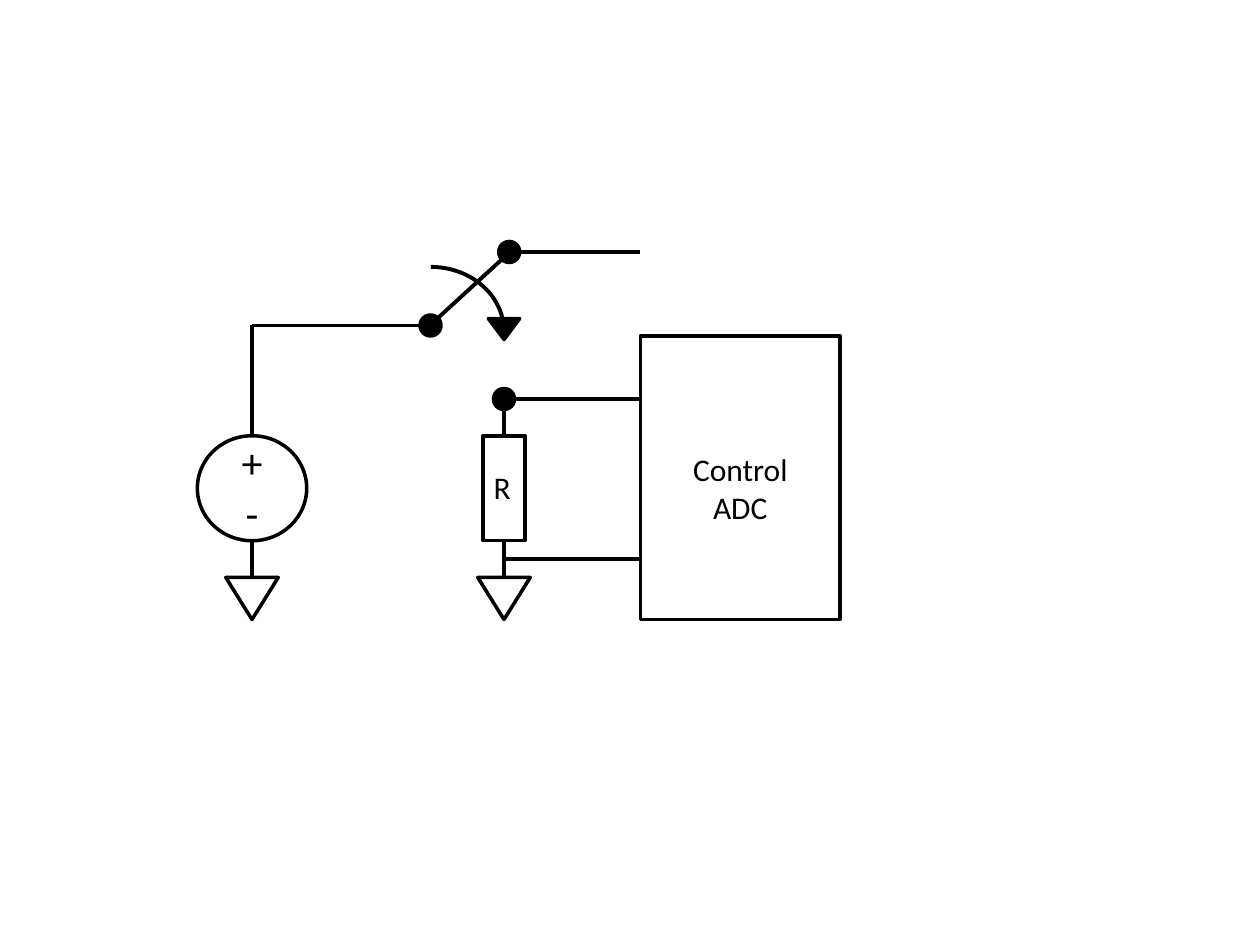
from pptx import Presentation
from pptx.dml.color import RGBColor
from pptx.enum.shapes import MSO_CONNECTOR, MSO_SHAPE
from pptx.enum.text import MSO_AUTO_SIZE, PP_ALIGN
from pptx.oxml.ns import qn
from pptx.util import Pt

BLACK = RGBColor(0, 0, 0)
RECT = MSO_SHAPE.RECTANGLE
OVAL = MSO_SHAPE.OVAL
ARC = MSO_SHAPE.ARC
WEDGE = MSO_SHAPE.ISOSCELES_TRIANGLE
LINE = MSO_CONNECTOR.STRAIGHT
ELBOW = MSO_CONNECTOR.ELBOW
CENTER = PP_ALIGN.CENTER
GROW = MSO_AUTO_SIZE.SHAPE_TO_FIT_TEXT


class Circuit:
    """Draws circuit symbols on one slide; all lengths are in points."""
    font = "Calibri"
    wide = 2.25
    thin = 2

    def __init__(self, slide):
        self.shapes = slide.shapes

    def symbol(self, kind, x, y, w, h, fill=None, line=thin, turn=0):
        shape = self.shapes.add_shape(kind, Pt(x), Pt(y), Pt(w), Pt(h))
        shape.shadow.inherit = False
        shape.rotation = turn
        if fill is None:
            shape.fill.background()
        else:
            shape.fill.solid()
            shape.fill.fore_color.rgb = fill
        shape.line.color.rgb = BLACK
        shape.line.width = Pt(line)

    def wire(self, x1, y1, x2, y2, kind=LINE):
        wire = self.shapes.add_connector(kind, Pt(x1), Pt(y1), Pt(x2), Pt(y2))
        wire.line.color.rgb = BLACK
        wire.line.width = Pt(self.wide)
        props = wire._element.spPr
        props.append(props.makeelement(qn("a:effectLst"), {}))
        return wire

    def bend(self, x1, y1, x2, y2):
        """One-corner wire: across first, then down."""
        wire = self.wire(x1, y1, x2, y2, ELBOW)
        wire._element.spPr.find(qn("a:prstGeom")).set("prst", "bentConnector2")

    def node(self, x, y):
        self.symbol(OVAL, x - 6, y - 6, 12, 12, BLACK)

    def ground(self, x, y):
        self.symbol(WEDGE, x - 15, y, 30, 24, turn=180)

    def label(self, x, y, w, h, lines, size, wrap=True):
        box = self.shapes.add_textbox(Pt(x), Pt(y), Pt(w), Pt(h))
        frame = box.text_frame
        frame.word_wrap = wrap
        frame.auto_size = GROW
        for i, text in enumerate(lines):
            para = frame.add_paragraph() if i else frame.paragraphs[0]
            para.alignment = CENTER
            run = para.add_run()
            run.text = text
            run.font.name = self.font
            run.font.size = Pt(size)
            run.font.color.rgb = BLACK


def main():
    deck = Presentation()
    deck.slide_width, deck.slide_height = Pt(720), Pt(540)
    draw = Circuit(deck.slides.add_slide(deck.slide_layouts[6]))

    # Shared axes: source, load and converter edge; symbol top, foot and ground
    src, load, edge = 144, 288, 366
    top, foot, base = 249, 309, 330

    # Resistor, source and grounds
    draw.symbol(RECT, load - 12, top, 24, foot - top)
    draw.symbol(OVAL, src - 31.25, top, 62.5, foot - top)
    for x in (src, load):
        draw.wire(x, foot, x, base)
        draw.ground(x, base)

    # Converter and its wires
    draw.wire(src, top, src, 186)
    draw.wire(load, 319.5, edge, 319.5)
    draw.bend(edge, 228, load, top)
    draw.symbol(RECT, edge, 192, 114, 162)
    draw.wire(load, 144, edge, 144)
    draw.wire(src, 186, 240, 186)

    # Switch with its contacts, arm and swing arrow
    for x, y in ((246, 186), (load, 228), (291, 144)):
        draw.node(x, y)
    draw.wire(250.5, 181.5, 286.5, 148.5)
    draw.symbol(ARC, 204.5, 152.5, 83.5, 73.5, line=draw.wide)
    draw.symbol(WEDGE, load - 9, 182, 18, 12, BLACK, turn=180)

    # Labels
    draw.label(121, 246, 46, 65.5, ("+", "-"), 24)
    draw.label(275, 264, 24, 29, ("R",), 18, wrap=False)
    draw.label(378, 253.5, 90, 51, ("Control ADC",), 18)

    deck.save("out.pptx")


if __name__ == "__main__":
    main()
